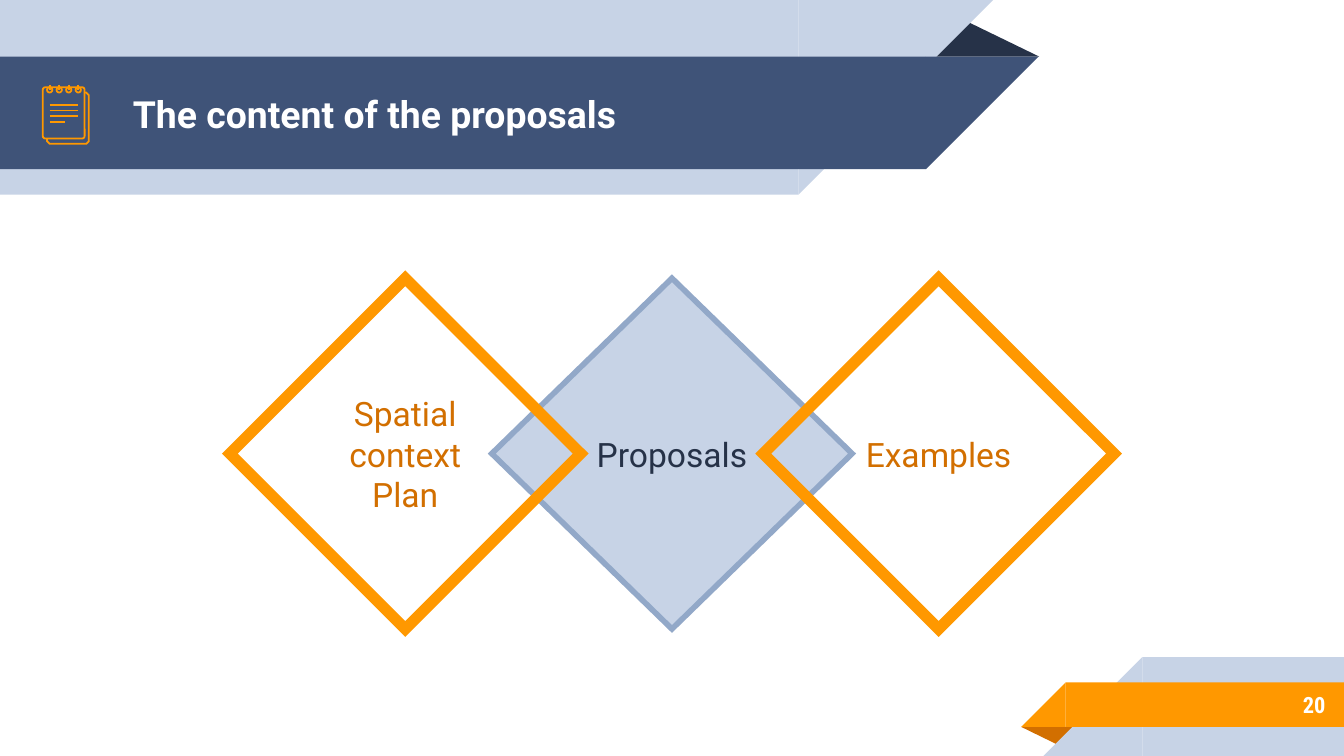
"""Build the slide on the content of the proposals: ribbons, notepad icon and three diamonds."""
from dataclasses import dataclass

from lxml import etree
from pptx import Presentation
from pptx.dml.color import RGBColor
from pptx.enum.shapes import MSO_CONNECTOR, MSO_SHAPE
from pptx.enum.text import MSO_ANCHOR, PP_ALIGN
from pptx.oxml.ns import qn
from pptx.util import Cm, Pt

RECTANGLE, CORNER = MSO_SHAPE.RECTANGLE, MSO_SHAPE.RIGHT_TRIANGLE
FOLD, DIAMOND = MSO_SHAPE.ISOSCELES_TRIANGLE, MSO_SHAPE.DIAMOND
ROUNDED, OVAL = MSO_SHAPE.ROUNDED_RECTANGLE, MSO_SHAPE.OVAL
STRAIGHT = MSO_CONNECTOR.STRAIGHT
MIDDLE = MSO_ANCHOR.MIDDLE
LEFT, CENTER, RIGHT = PP_ALIGN.LEFT, PP_ALIGN.CENTER, PP_ALIGN.RIGHT


@dataclass(frozen=True)
class Theme:
    navy: str = "3F5378"
    ink: str = "263248"
    pale: str = "C7D3E6"
    steel: str = "92A8C8"
    orange: str = "FF9800"
    rust: str = "D26F00"
    white: str = "FFFFFF"
    font: str = "Roboto"
    number_font: str = "Roboto Condensed"
    title_size: int = 20
    body_size: int = 18
    number_size: int = 12
    icon_line: float = 0.96


theme = Theme()


def paint(shape, fill=None, line=None, width=1):
    shape.shadow.inherit = False
    if fill:
        shape.fill.solid()
        shape.fill.fore_color.rgb = RGBColor.from_string(fill)
    else:
        shape.fill.background()
    if line:
        shape.line.color.rgb = RGBColor.from_string(line)
        shape.line.width = Pt(width)
        etree.SubElement(shape.line._get_or_add_ln(), qn("a:miter"), lim="800000")
    else:
        shape.line.fill.background()


def write(shape, text, size, color, font=theme.font, bold=False, align=CENTER):
    frame = shape.text_frame
    frame.word_wrap = True
    frame.vertical_anchor = MIDDLE
    frame.margin_left = frame.margin_right = Cm(0.25)
    frame.margin_top = frame.margin_bottom = Cm(0.25)
    frame.text = text
    for paragraph in frame.paragraphs:
        paragraph.alignment = align
        paragraph.font.name = font
        paragraph.font.size = Pt(size)
        paragraph.font.bold = bold
        paragraph.font.color.rgb = RGBColor.from_string(color)


deck = Presentation()
deck.slide_width, deck.slide_height = Cm(25.4), Cm(14.29)
slide = deck.slides.add_slide(deck.slide_layouts[5])
shapes = slide.shapes

folds = [
    (17.48, 0.36, 2.16, 0.71, 0, theme.ink),
    (19.3, 13.74, 1.09, 0.36, 180, theme.rust),
]
for left, top, width, height, turn, color in folds:
    fold = shapes.add_shape(FOLD, Cm(left), Cm(top), Cm(width), Cm(height))
    fold.adjustments[0] = 0.324
    fold.rotation = turn
    paint(fold, fill=color)

ribbons = [
    (0, 0, 15.09, 3.68, 15.09, 90, theme.pale),
    (0, 1.07, 17.5, 2.13, 17.5, 90, theme.navy),
    (21.59, 12.42, 3.81, 1.87, 19.72, 270, theme.pale),
    (20.14, 12.9, 5.26, 0.84, 19.3, 270, theme.orange),
]
for left, top, width, height, tip_left, turn, color in ribbons:
    band = shapes.add_shape(RECTANGLE, Cm(left), Cm(top), Cm(width), Cm(height))
    paint(band, fill=color)
    tip = shapes.add_shape(CORNER, Cm(tip_left), Cm(top), Cm(height), Cm(height))
    tip.rotation = turn
    paint(tip, fill=color)

title = shapes.title
title.left, title.top, title.width, title.height = Cm(2.26), Cm(1.09), Cm(14.6), Cm(2.13)
write(title, "The content of the proposals", size=theme.title_size,
      color=theme.white, bold=True, align=LEFT)
shapes._spTree.append(title._element)

page_number = shapes.add_textbox(Cm(21.16), Cm(12.88), Cm(4.14), Cm(0.89))
write(page_number, "20", size=theme.number_size, color=theme.white,
      font=theme.number_font, bold=True, align=RIGHT)

diamonds = [
    ("Proposals", 0, 6.81, theme.pale, theme.steel, 3, theme.ink),
    ("Spatial context\nPlan", -1, 6.63, None, theme.orange, 6, theme.rust),
    ("Examples", 1, 6.63, None, theme.orange, 6, theme.rust),
]
for label, step, width, fill, line, weight, color in diamonds:
    center = 12.7 + 5.04 * step
    topic = shapes.add_shape(DIAMOND, Cm(center - width / 2), Cm(5.26), Cm(width), Cm(6.63))
    paint(topic, fill=fill, line=line, width=weight)
    write(topic, label, size=theme.body_size, color=color)

back_edge = [(0.89, 2.63), (0.89, 2.67), (0.94, 2.72), (1.63, 2.72),
             (1.68, 2.67), (1.68, 1.8), (1.63, 1.75), (1.6, 1.75)]
corners = [(Cm(x), Cm(y)) for x, y in back_edge]
outline = shapes.build_freeform(*corners[0])
outline.add_line_segments(corners[1:], close=False)
back_page = outline.convert_to_shape()
front_page = shapes.add_shape(ROUNDED, Cm(0.81), Cm(1.65), Cm(0.79), Cm(0.97))
front_page.adjustments[0] = 0.06

ring_centers = [0.94 + 0.18 * i for i in range(4)]
rings = [shapes.add_shape(OVAL, Cm(x - 0.05), Cm(1.65), Cm(0.1), Cm(0.1)) for x in ring_centers]
for part in [back_page, front_page, *rings]:
    paint(part, line=theme.orange, width=theme.icon_line)

pins = [(x, 1.6, x, 1.7) for x in ring_centers]
rules = [(0.94, 1.98 + 0.11 * i, end, 1.98 + 0.11 * i)
         for i, end in enumerate([1.47, 1.47, 1.47, 1.22])]
for stroke_ends in pins + rules:
    stroke = shapes.add_connector(STRAIGHT, *[Cm(value) for value in stroke_ends])
    stroke.line.color.rgb = RGBColor.from_string(theme.orange)
    stroke.line.width = Pt(theme.icon_line)
    etree.SubElement(stroke._element.spPr, qn("a:effectLst"))

deck.save("out.pptx")
